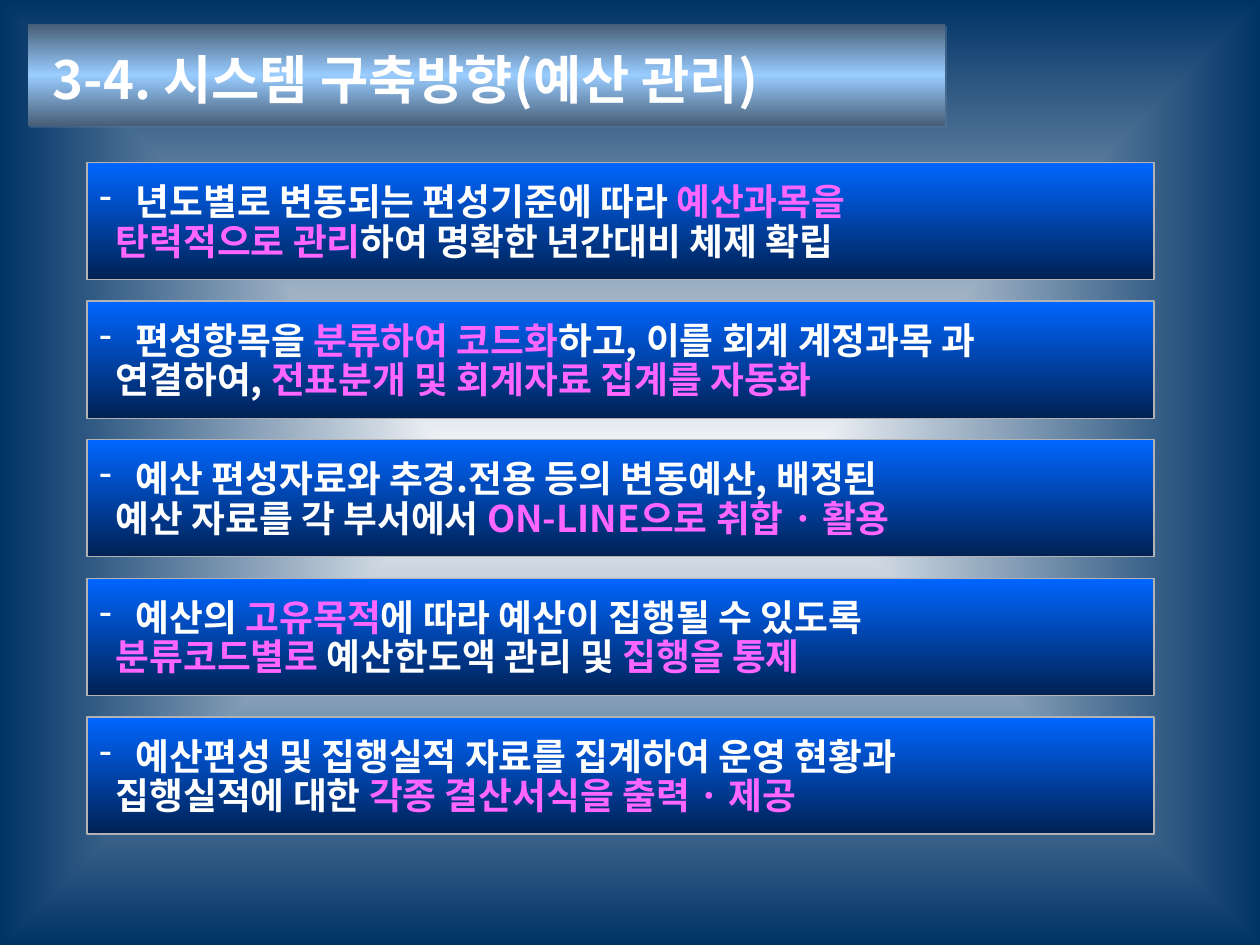
from dataclasses import dataclass

from lxml.etree import SubElement
from pptx import Presentation
from pptx.dml.color import RGBColor
from pptx.enum.shapes import MSO_SHAPE as Preset
from pptx.enum.text import MSO_ANCHOR as Anchor, MSO_AUTO_SIZE as AutoSize, PP_ALIGN as Align
from pptx.oxml.ns import qn
from pptx.util import Inches, Pt


@dataclass(frozen=True)
class Theme:
    font: str = "Noto Sans CJK KR"
    title_size: float = 30
    body_size: float = 21
    text: str = "FFFFFF"
    accent: str = "FF66FF"
    border: str = "B2B2B2"
    shadow: str = "5B7998"
    background: tuple = ((0, "FFFFFF"), (100, "003366"))
    banner: tuple = ((0, "475E76"), (50, "99CCFF"), (100, "475E76"))
    bar: tuple = ((0, "0066FF"), (100, "002154"))


THEME = Theme()
TITLE = "3-4. 시스템 구축방향(예산 관리)"

# Bars on an even vertical grid
BAR_LEFT, BAR_WIDTH, BAR_HEIGHT = 0.69, 8.47, 0.93
FIRST_TOP, ROW_STEP = 1.29, 1.1

# Two lines for each bar; text between | marks is highlighted
DIRECTIONS = [
    ("년도별로 변동되는 편성기준에 따라 |예산과목을|",
     "|탄력적으로 관리|하여 명확한 년간대비 체제 확립"),
    ("편성항목을 |분류하여 코드화|하고, 이를 회계 계정과목 과",
     "연결하여, |전표분개 및 회계자료 집계를 자동화|"),
    ("예산 편성자료와 추경.전용 등의 변동예산, 배정된",
     "예산 자료를 각 부서에서 |ON-LINE으로 취합 · 활용|"),
    ("예산의 |고유목적|에 따라 예산이 집행될 수 있도록",
     "|분류코드별로 |예산한도액 관리 및 |집행을 통제|"),
    ("예산편성 및 집행실적 자료를 집계하여 운영 현황과",
     "집행실적에 대한 |각종 결산서식을 출력 · 제공|"),
]


def add_xml(parent, tag, **attributes):
    return SubElement(parent, qn(tag), {name: str(value) for name, value in attributes.items()})


def set_gradient(fill, holder, stops, from_center=False):
    """Swap the fill inside holder for a vertical or a centred gradient."""
    fill.background()
    empty_fill = holder.find(qn("a:noFill"))
    gradient = add_xml(holder, "a:gradFill", rotWithShape=1)
    holder.replace(empty_fill, gradient)
    stop_list = add_xml(gradient, "a:gsLst")
    for position, color in stops:
        stop = add_xml(stop_list, "a:gs", pos=position * 1000)
        add_xml(stop, "a:srgbClr", val=color)
    if from_center:
        center = add_xml(gradient, "a:path", path="rect")
        add_xml(center, "a:fillToRect", l=50000, t=50000, r=50000, b=50000)
    else:
        add_xml(gradient, "a:lin", ang=90 * 60000, scaled=0)


def add_shadow(shape):
    effects = add_xml(shape.element.spPr, "a:effectLst")
    shadow = add_xml(effects, "a:outerShdw", dist=Pt(1.4), dir=45 * 60000, algn="ctr", rotWithShape=0)
    color = add_xml(shadow, "a:srgbClr", val=THEME.shadow)
    add_xml(color, "a:alpha", val=50000)


def set_indent(paragraph, margin, first_line=0.0):
    properties = paragraph._p.get_or_add_pPr()
    properties.set("marL", str(Inches(margin)))
    properties.set("indent", str(Inches(first_line)))
    return properties


def add_dash(paragraph):
    properties = set_indent(paragraph, 0.29, -0.29)
    color = add_xml(properties, "a:buClr")
    add_xml(color, "a:srgbClr", val=THEME.text)
    add_xml(properties, "a:buChar", char="-")


def format_run(run, size, color):
    run.font.size = Pt(size)
    run.font.bold = True
    run.font.name = THEME.font
    run.font.color.rgb = RGBColor.from_string(color)
    add_xml(run._r.get_or_add_rPr(), "a:ea", typeface=THEME.font)


def write_line(paragraph, marked_text, size):
    paragraph.alignment = Align.LEFT
    for index, part in enumerate(marked_text.split("|")):
        if part:
            run = paragraph.add_run()
            run.text = part
            format_run(run, size, THEME.accent if index % 2 else THEME.text)


def prepare_frame(shape):
    frame = shape.text_frame
    frame.word_wrap = True
    frame.auto_size = AutoSize.NONE
    frame.vertical_anchor = Anchor.MIDDLE
    return frame


def add_title(slide):
    title = slide.shapes.title
    title.left, title.top = Inches(0.22), Inches(0.19)
    title.width, title.height = Inches(7.28), Inches(0.81)
    set_gradient(title.fill, title.element.spPr, THEME.banner)
    add_shadow(title)
    paragraph = prepare_frame(title).paragraphs[0]
    set_indent(paragraph, 0.1)
    paragraph.line_spacing = 1.1
    write_line(paragraph, TITLE, THEME.title_size)


def add_bar(slide, row, lines):
    bar = slide.shapes.add_shape(
        Preset.RECTANGLE, Inches(BAR_LEFT), Inches(FIRST_TOP + row * ROW_STEP),
        Inches(BAR_WIDTH), Inches(BAR_HEIGHT))
    set_gradient(bar.fill, bar.element.spPr, THEME.bar)
    bar.line.color.rgb = RGBColor.from_string(THEME.border)
    bar.line.width = Pt(0.75)
    bar.shadow.inherit = False
    frame = prepare_frame(bar)
    first, second = frame.paragraphs[0], frame.add_paragraph()
    add_dash(first)
    set_indent(second, 0.13)
    second.line_spacing = 0.91
    for paragraph, text in zip((first, second), lines):
        write_line(paragraph, text, THEME.body_size)


def main():
    presentation = Presentation()
    presentation.slide_width, presentation.slide_height = Inches(10), Inches(7.5)
    slide = presentation.slides.add_slide(presentation.slide_layouts[5])

    # Background glow
    background_fill = slide.background.fill
    set_gradient(background_fill, slide.element.find(".//" + qn("p:bgPr")),
                 THEME.background, from_center=True)

    # Banner and the five directions
    add_title(slide)
    for row, lines in enumerate(DIRECTIONS):
        add_bar(slide, row, lines)

    presentation.save("out.pptx")


if __name__ == "__main__":
    main()
